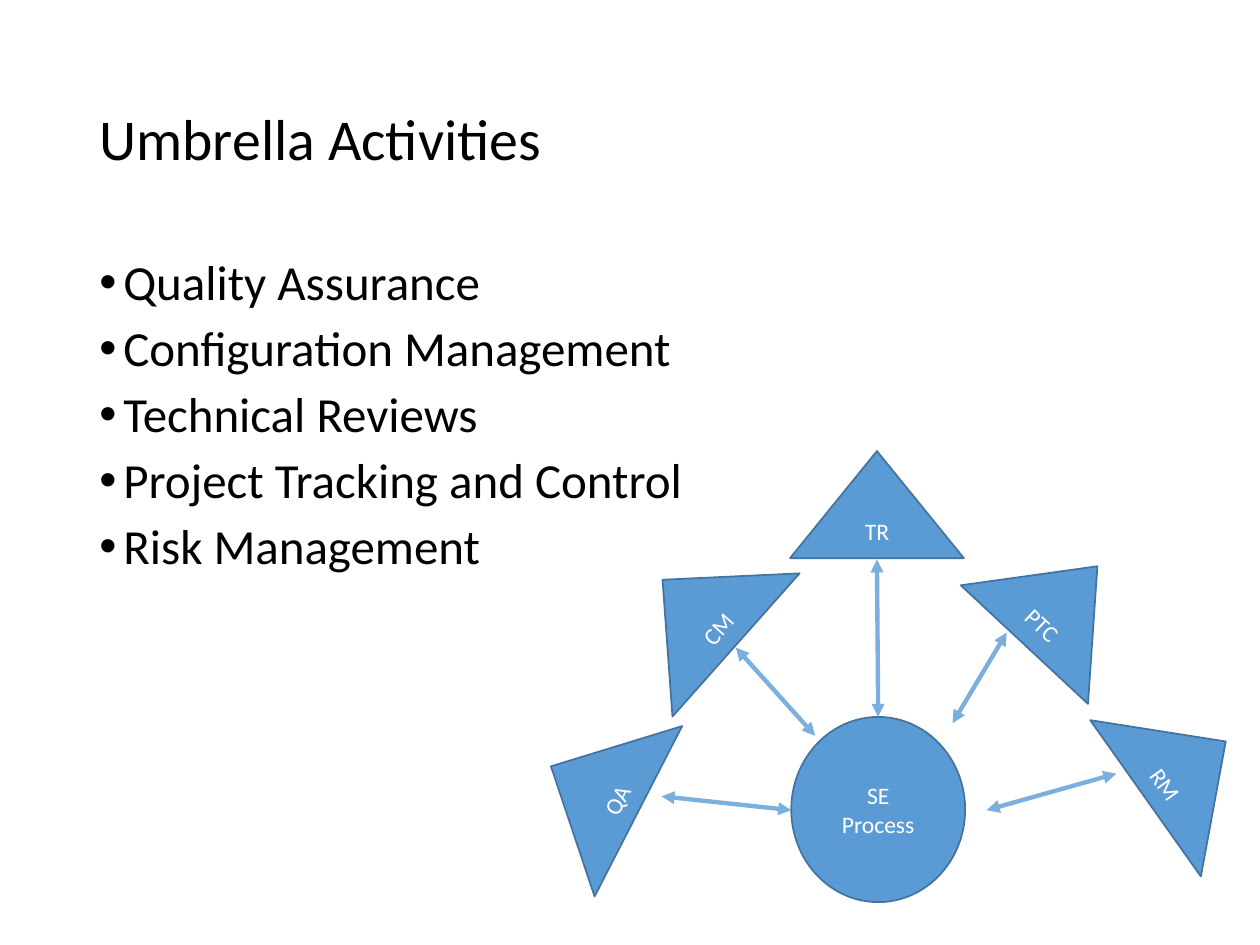
from lxml.etree import SubElement as Sub
from pptx import Presentation
from pptx.dml.color import RGBColor as RGB
from pptx.enum.shapes import MSO_CONNECTOR as Conn, MSO_SHAPE as Shape
from pptx.enum.text import MSO_ANCHOR as Anchor, PP_ALIGN as Align
from pptx.oxml.ns import qn
from pptx.util import Pt

PX = 9144  # 100 px to the inch
HUE = {"text": "000000", "fill": "5B9BD5", "edge": "43739E", "label": "FFFFFF"}


def emu(*nums):
    return [n * PX for n in nums]


def write(par, text, size, hue, **form):
    run = par.add_run()
    run.text = text
    run.font.name, run.font.size = "Calibri", Pt(size)
    run.font.color.rgb = RGB.from_string(HUE[hue])
    for key, val in form.items():
        setattr(par, key, val)


prs = Presentation()
prs.slide_width, prs.slide_height = emu(1000, 750)
slide = prs.slides.add_slide(prs.slide_layouts[5])

# Title
title = slide.shapes.title
title.left, title.top, title.width, title.height = emu(69, 40, 862, 145)
title.text_frame.vertical_anchor = Anchor.MIDDLE
write(title.text_frame.paragraphs[0], "Umbrella Activities", 33, "text",
      alignment=Align.LEFT, line_spacing=0.9)

# Bullet list
items = ["Quality Assurance", "Configuration Management", "Technical Reviews",
         "Project Tracking and Control", "Risk Management"]
frame = slide.shapes.add_textbox(*emu(69, 200, 862, 476)).text_frame
frame.word_wrap = True
for i, item in enumerate(items):
    par = frame.add_paragraph() if i else frame.paragraphs[0]
    write(par, item, 28, "text", line_spacing=0.9, space_before=Pt(7.5))
    props = par._p.get_or_add_pPr()
    props.set("marL", str(19 * PX))
    props.set("indent", str(-19 * PX))
    Sub(props, qn("a:buFont"), typeface="Arial")
    Sub(props, qn("a:buChar"), char="•")

# Process circle and the activities around it: text, kind, box, turn
nodes = [
    ("SE Process", Shape.OVAL, (628, 569, 138, 147), 0),
    ("RM", Shape.ISOSCELES_TRIANGLE, (865, 572, 152, 78), 54.7),
    ("PTC", Shape.ISOSCELES_TRIANGLE, (773, 438, 138, 85), 43),
    ("TR", Shape.ISOSCELES_TRIANGLE, (627, 358, 138, 85), 0),
    ("CM", Shape.ISOSCELES_TRIANGLE, (479, 447, 152, 78), 311.6),
    ("QA", Shape.ISOSCELES_TRIANGLE, (396, 587, 152, 78), 297.2),
]
for text, kind, box, turn in nodes:
    node = slide.shapes.add_shape(kind, *emu(*box))
    node.rotation = turn
    node.shadow.inherit = False
    node.fill.solid()
    node.fill.fore_color.rgb = RGB.from_string(HUE["fill"])
    node.line.color.rgb = RGB.from_string(HUE["edge"])
    node.line.width = Pt(1)
    node.text_frame.word_wrap = True
    node.text_frame.vertical_anchor = Anchor.MIDDLE
    write(node.text_frame.paragraphs[0], text, 13.5, "label",
          alignment=Align.CENTER)

# Two-way arrows, each from an activity to the process
ends = [(696, 444, 697, 569), (799, 502, 756, 574), (886, 614, 783, 643),
        (584, 514, 647, 584), (525, 632, 628, 643)]
for end in ends:
    arrow = slide.shapes.add_connector(Conn.STRAIGHT, *emu(*end))
    arrow.line.width = Pt(2.5)
    arrow.line.color.rgb = RGB.from_string(HUE["fill"])
    props = arrow._element.spPr
    line = props.find(qn("a:ln"))
    Sub(line.find(".//" + qn("a:srgbClr")), qn("a:alpha"), val="80000")
    for tip in ("a:headEnd", "a:tailEnd"):
        Sub(line, qn(tip), type="triangle")
    Sub(props, qn("a:effectLst"))

prs.save("out.pptx")
